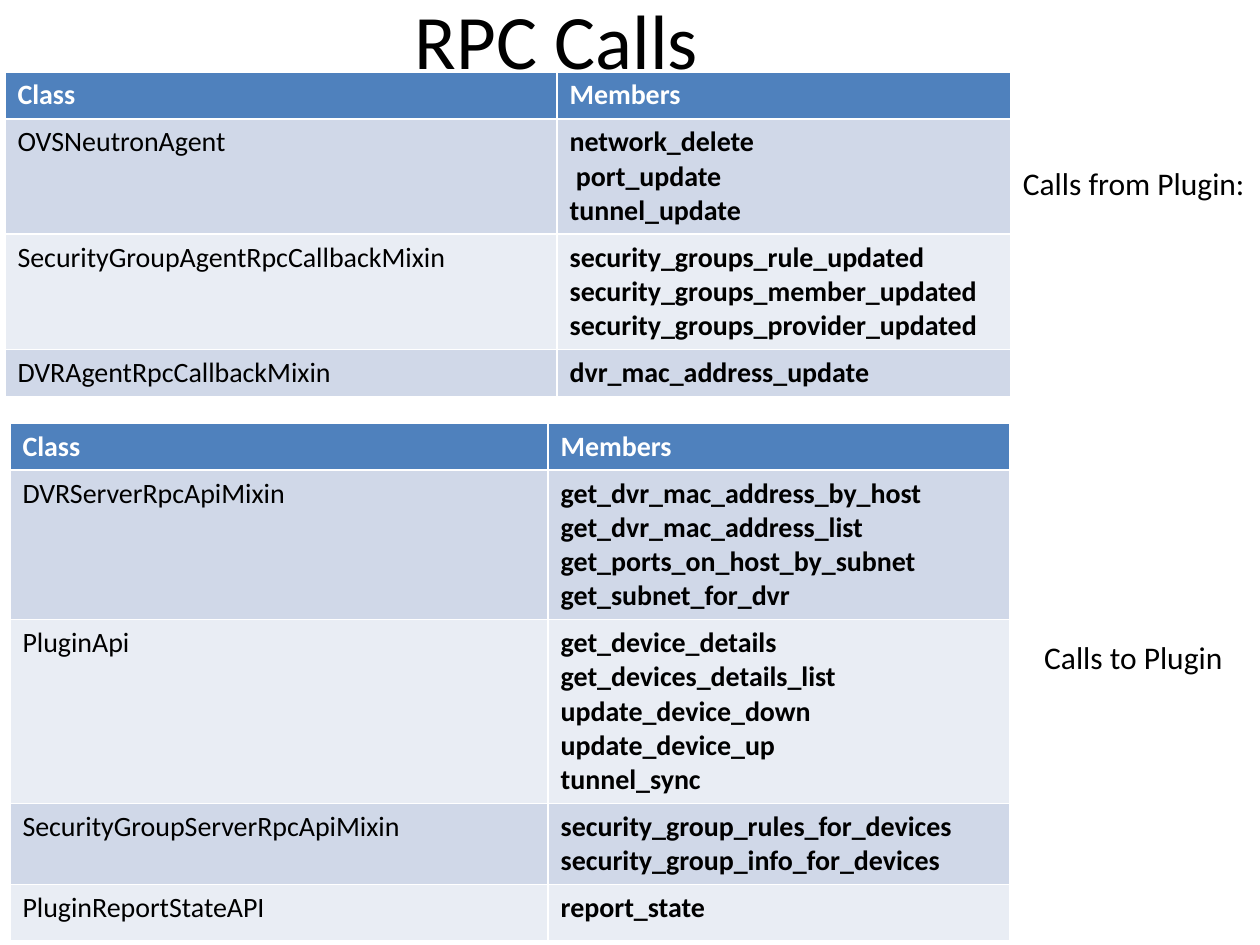
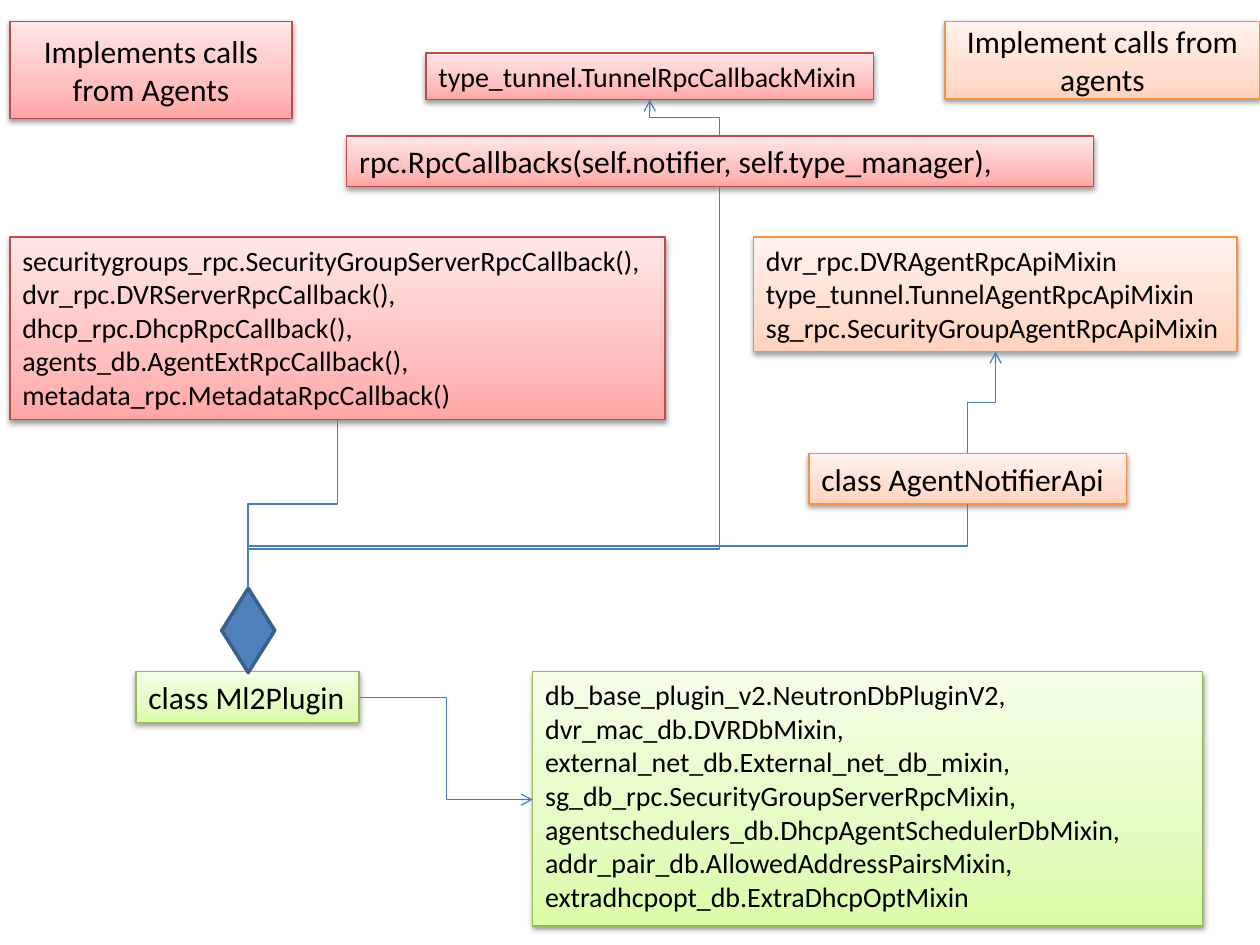
from copy import deepcopy
from lxml import etree
from pptx import Presentation
from pptx import util as u
from pptx.dml.color import RGBColor
from pptx.enum import shapes, text
from pptx.oxml.ns import qn

HUES = {"ink": "000000", "white": "FFFFFF", "head": "4F81BD",
        "odd": "D0D8E8", "even": "E9EDF4", "wire": "4B7EBC", "rim": "3A5F8C"}
# Outline, then gradient stops from bottom to top
TONES = {"red": ("BF4C48", "FFA6A5", "FFC0BF", "FFE7E7"),
         "green": ("98B955", "DAFDA7", "E4FCC2", "F5FFE7"),
         "orange": ("F69240", "FFD2BD", "FFDED0", "FFF2ED")}
STOPS = (0, 0.35, 1)
GROW = {"auto_size": text.MSO_AUTO_SIZE.SHAPE_TO_FIT_TEXT,
        "vertical_anchor": text.MSO_ANCHOR.TOP}
MID = {"auto_size": text.MSO_AUTO_SIZE.NONE,
       "vertical_anchor": text.MSO_ANCHOR.MIDDLE}
LEFT, CENTER = text.PP_ALIGN.LEFT, text.PP_ALIGN.CENTER


def write(frame, lines, size, hue="ink", bold=False, align=LEFT):
    """Fill a text frame with one paragraph per line."""
    look = {"name": "Calibri", "size": u.Pt(size), "bold": bold}
    for i, line in enumerate(lines):
        para = frame.add_paragraph() if i else frame.paragraphs[0]
        para.alignment = align
        run = para.add_run()
        run.text = line
        for key, val in look.items():
            setattr(run.font, key, val)
        run.font.color.rgb = RGBColor.from_string(HUES[hue])


def join(slide, start, end, upright=True, arrow=False, bend=None):
    """Draw an elbow line; an upright one leaves and arrives vertically."""
    (x1, y1), (x2, y2) = start, end
    if upright:  # the frame is laid out sideways, then turned by 90 degrees
        cx, cy = (x1 + x2) / 2, (y1 + y2) / 2
        dx, dy = (x2 - x1) / 2, (y2 - y1) / 2
        x1, y1, x2, y2 = cx - dy, cy + dx, cx + dy, cy - dx
    wire = slide.shapes.add_connector(
        shapes.MSO_CONNECTOR.ELBOW, *map(u.Cm, (x1, y1, x2, y2)))
    wire.line.color.rgb = RGBColor.from_string(HUES["wire"])
    wire.line.width = u.Pt(0.75)
    props = wire.element.spPr
    if upright:
        props.find(qn("a:xfrm")).set("rot", "5400000")
    if bend:
        geom = props.find(qn("a:prstGeom"))
        guides = geom.find(qn("a:avLst"))
        if guides is None:
            guides = etree.SubElement(geom, qn("a:avLst"))
        etree.SubElement(guides, qn("a:gd"), name="adj1", fmla=f"val {bend}")
    if arrow:
        etree.SubElement(props.find(qn("a:ln")), qn("a:tailEnd"), type="arrow")
    etree.SubElement(props, qn("a:effectLst"))


deck = Presentation()
deck.slide_width, deck.slide_height = u.Cm(25.4), u.Cm(19.05)

# Slide 1: calls in both directions
calls = deck.slides.add_slide(deck.slide_layouts[5])
title = calls.shapes.title
place = {"left": 0.64, "top": -0.43, "width": 21.16, "height": 2.41}
for key, val in place.items():
    setattr(title, key, u.Cm(val))
title.text_frame.vertical_anchor = text.MSO_ANCHOR.MIDDLE
write(title.text_frame, ["RPC Calls"], 44, align=CENTER)

FROM = [
    ("OVSNeutronAgent", ["network_delete", " port_update", "tunnel_update"]),
    ("SecurityGroupAgentRpcCallbackMixin",
     ["security_groups_rule_updated", "security_groups_member_updated",
      "security_groups_provider_updated"]),
    ("DVRAgentRpcCallbackMixin", ["dvr_mac_address_update"])]
TO = [
    ("DVRServerRpcApiMixin",
     ["get_dvr_mac_address_by_host", "get_dvr_mac_address_list",
      "get_ports_on_host_by_subnet", "get_subnet_for_dvr"]),
    ("PluginApi",
     ["get_device_details", "get_devices_details_list",
      "update_device_down", "update_device_up", "tunnel_sync"]),
    ("SecurityGroupServerRpcApiMixin",
     ["security_group_rules_for_devices", "security_group_info_for_devices"]),
    ("PluginReportStateAPI", ["report_state"])]
GRIDS = [
    (0.1, 1.45, (11.13, 9.14), (0.76, 1.93, 1.93, 0.76), FROM),
    (0.2, 8.53, (10.85, 9.3), (0.79, 2.51, 3.07, 1.37, 1.14), TO)]
for x, y, wides, highs, data in GRIDS:
    grid = calls.shapes.add_table(
        len(highs), 2, u.Cm(x), u.Cm(y),
        u.Cm(sum(wides)), u.Cm(sum(highs))).table
    for col, wide in zip(grid.columns, wides):
        col.width = u.Cm(wide)
    for row, high in zip(grid.rows, highs):
        row.height = u.Cm(high)
    for r, (name, members) in enumerate([("Class", ["Members"])] + data):
        band = "odd" if r % 2 else "even"
        for c, lines in enumerate(([name], members)):
            cell = grid.cell(r, c)
            cell.fill.solid()
            cell.fill.fore_color.rgb = RGBColor.from_string(
                HUES[band if r else "head"])
            write(cell.text_frame, lines, 16,
                  "ink" if r else "white", bold=r == 0 or c == 1)

LABELS = [("Calls from Plugin:", 20.37, 3.18, 5.03),
          ("Calls to Plugin", 20.8, 12.73, 4.14)]
for label, x, y, wide in LABELS:
    frame = calls.shapes.add_textbox(*map(u.Cm, (x, y, wide, 1.02))).text_frame
    frame.word_wrap = False
    frame.auto_size = GROW["auto_size"]
    write(frame, [label], 18)

# Slide 2: class diagram of the plugin
chart = deck.slides.add_slide(deck.slide_layouts[6])
BOXES = [  # tone, place, size, wrap, frame format, lines
    ("red", (0.2, 4.78, 13.21, 3.68), 16, True, GROW,
     ["securitygroups_rpc.SecurityGroupServerRpcCallback(),",
      "dvr_rpc.DVRServerRpcCallback(),", "dhcp_rpc.DhcpRpcCallback(),",
      "agents_db.AgentExtRpcCallback(),",
      "metadata_rpc.MetadataRpcCallback()"]),
    ("green", (2.74, 13.54, 4.5, 1.02), 18, False, GROW, ["class Ml2Plugin"]),
    ("green", (10.74, 13.54, 13.51, 5.13), 16, True, GROW,
     ["db_base_plugin_v2.NeutronDbPluginV2,", "dvr_mac_db.DVRDbMixin,",
      "external_net_db.External_net_db_mixin,",
      "sg_db_rpc.SecurityGroupServerRpcMixin,",
      "agentschedulers_db.DhcpAgentSchedulerDbMixin,",
      "addr_pair_db.AllowedAddressPairsMixin,",
      "extradhcpopt_db.ExtraDhcpOptMixin"]),
    ("orange", (16.31, 9.14, 6.4, 1.02), 18, True, GROW,
     ["class AgentNotifierApi"]),
    ("orange", (15.19, 4.78, 9.75, 2.31), 16, False, GROW,
     ["dvr_rpc.DVRAgentRpcApiMixin", "type_tunnel.TunnelAgentRpcApiMixin",
      "sg_rpc.SecurityGroupAgentRpcApiMixin"]),
    ("red", (8.59, 1.07, 9.02, 0.94), 16, False, GROW,
     ["type_tunnel.TunnelRpcCallbackMixin"]),
    ("red", (6.99, 2.74, 15.06, 1.02), 18, True, GROW,
     ["rpc.RpcCallbacks(self.notifier, self.type_manager),"]),
    ("red", (0.2, 0.43, 5.69, 1.96), 18, True, MID,
     ["Implements calls from Agents"]),
    ("orange", (19.05, 0.43, 6.35, 1.57), 18, True, MID,
     ["Implement calls from agents"])]
for tone, spot, size, wrap, form, lines in BOXES:
    box = chart.shapes.add_shape(shapes.MSO_SHAPE.RECTANGLE, *map(u.Cm, spot))
    rim, *fades = TONES[tone]
    box.line.color.rgb = RGBColor.from_string(rim)
    box.line.width = u.Pt(0.75)
    box.fill.gradient()
    box.fill.gradient_angle = 90
    stops = box.element.spPr.find(".//" + qn("a:gsLst"))
    stops.append(deepcopy(stops[0]))
    for stop, at, fade in zip(box.fill.gradient_stops, STOPS, fades):
        stop.position = at
        stop.color.rgb = RGBColor.from_string(fade)
    box.shadow.inherit = False
    glow = etree.SubElement(
        box.element.spPr.find(qn("a:effectLst")), qn("a:outerShdw"),
        blurRad="40000", dist="20000", dir="5400000", rotWithShape="0")
    dark = etree.SubElement(glow, qn("a:srgbClr"), val=HUES["ink"])
    etree.SubElement(dark, qn("a:alpha"), val="38000")
    frame = box.text_frame
    frame.word_wrap = wrap
    for key, val in form.items():
        setattr(frame, key, val)
    write(frame, lines, size, align=CENTER if form is MID else LEFT)

gem = chart.shapes.add_shape(shapes.MSO_SHAPE.FLOWCHART_DECISION,
                             *map(u.Cm, (4.47, 11.86, 1.07, 1.7)))
gem.shadow.inherit = False
gem.fill.solid()
gem.fill.fore_color.rgb = RGBColor.from_string(HUES["head"])
gem.line.color.rgb = RGBColor.from_string(HUES["rim"])
gem.line.width = u.Pt(2)

tip = (5, 11.86)
join(chart, tip, (6.81, 8.46))
join(chart, tip, (19.51, 10.16))
join(chart, (19.51, 9.14), (20.07, 7.09), arrow=True)
join(chart, (7.26, 14.06), (10.74, 16.12), upright=False, arrow=True)
join(chart, (14.5, 2.74), (13.1, 2.01), arrow=True)
join(chart, (14.5, 3.76), tip, bend=90200)

deck.save("out.pptx")
